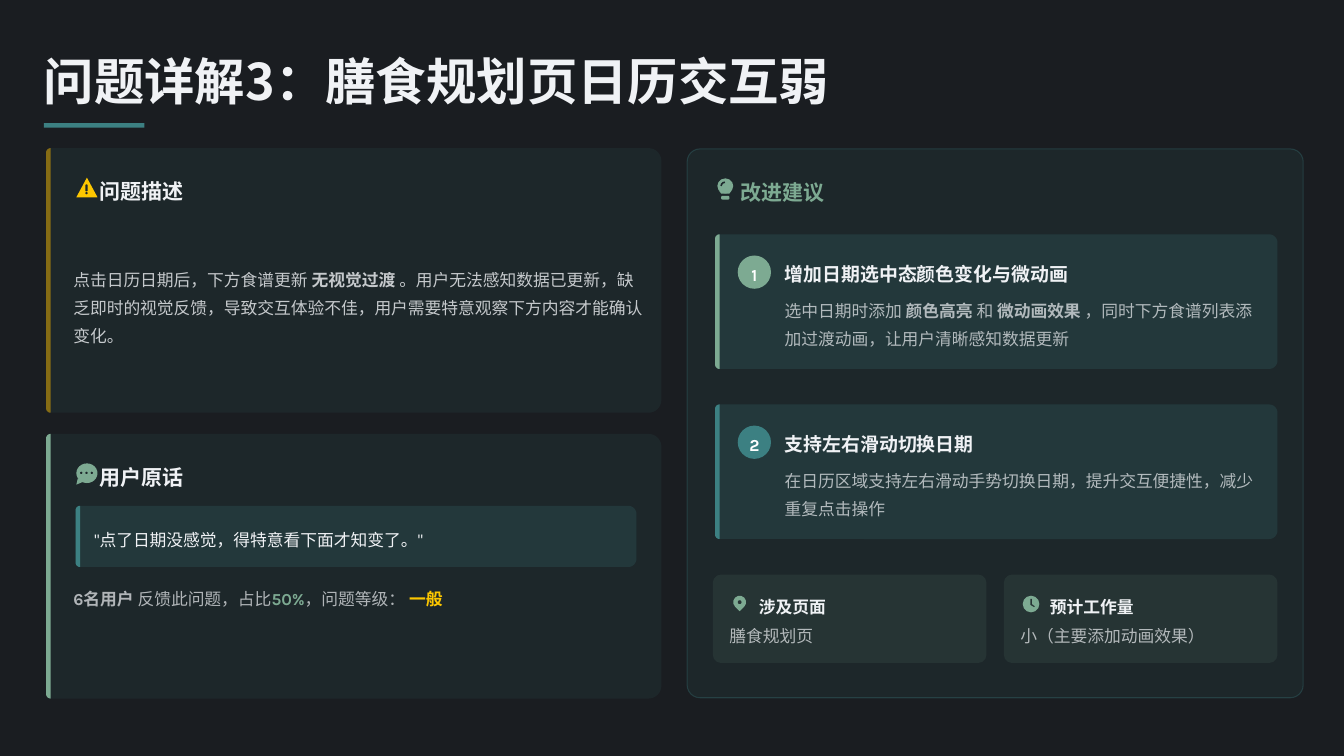
from dataclasses import dataclass
from math import cos, pi, sin

from lxml.etree import SubElement
from pptx import Presentation
from pptx.dml.color import RGBColor
from pptx.enum.shapes import MSO_SHAPE as Preset
from pptx.enum.text import MSO_ANCHOR as Anchor, PP_ALIGN as Align
from pptx.oxml.ns import qn
from pptx.util import Inches, Pt


@dataclass(frozen=True)
class Theme:
    background: str = "1A1D21"
    card_tone: str = "1D272B"
    fact_tone: str = "273435"
    text: str = "F0F2F5"
    white: str = "FFFFFF"
    teal: str = "3C8082"
    green: str = "7DAA92"
    amber: str = "F0B100"
    yellow: str = "FDC700"
    latin: str = "Karla"
    chinese: str = "Noto Sans CJK SC"
    title: int = 48
    heading: int = 20
    subheading: int = 18
    body: int = 16


@dataclass(frozen=True)
class Box:
    x: float
    y: float
    w: float
    h: float

    def inner(self, dx, dy, w, h):
        return Box(self.x + dx, self.y + dy, w, h)

    def emu(self):
        return [Inches(v) for v in (self.x, self.y, self.w, self.h)]


THEME = Theme()


def set_alpha(element, percent):
    """Give the only colour inside the element an opacity."""
    if percent < 100:
        colour = next(element.iter(qn("a:srgbClr")))
        SubElement(colour, qn("a:alpha")).set("val", str(percent * 1000))


def paint(shape, colour, alpha=100):
    shape.shadow.inherit = False
    shape.fill.solid()
    shape.fill.fore_color.rgb = RGBColor.from_string(colour)
    set_alpha(shape.fill._xPr.find(qn("a:solidFill")), alpha)
    shape.line.fill.background()
    return shape


def preset(slide, kind, box, colour, alpha=100):
    return paint(slide.shapes.add_shape(kind, *box.emu()), colour, alpha)


def rounded(slide, box, radius, colour, alpha=100):
    shape = preset(slide, Preset.ROUNDED_RECTANGLE, box, colour, alpha)
    shape.adjustments[0] = radius / min(box.w, box.h)
    return shape


def polygon(slide, points, colour, alpha=100):
    start, *rest = [(Inches(x), Inches(y)) for x, y in points]
    builder = slide.shapes.build_freeform(*start)
    builder.add_line_segments(rest, close=True)
    return paint(builder.convert_to_shape(), colour, alpha)


def side_rounded(slide, box, left, right, colour, alpha=100):
    """Draw a rectangle with one corner radius per side."""
    steps = 8
    points = []
    for quarter, radius in enumerate((right, left, left, right)):
        cx = box.x + (radius if quarter in (1, 2) else box.w - radius)
        cy = box.y + (box.h - radius if quarter < 2 else radius)
        for step in range(steps + 1 if radius else 1):
            angle = (quarter + step / steps) * pi / 2
            points.append((cx + radius * cos(angle), cy + radius * sin(angle)))
    return polygon(slide, points, colour, alpha)


def accent_card(slide, box, radius, accent, fill_alpha, accent_alpha=100):
    edge = 0.06
    side_rounded(slide, box, edge, radius, THEME.teal, fill_alpha)
    side_rounded(slide, box.inner(0, 0, edge, box.h), edge, 0, accent, accent_alpha)


def fill_text(shape, runs, size, spacing, align=Align.LEFT, latin=THEME.latin):
    """Write runs of (text, bold, colour, opacity) as one paragraph."""
    frame = shape.text_frame
    frame.word_wrap = True
    frame.vertical_anchor = Anchor.MIDDLE
    frame.margin_left = frame.margin_right = frame.margin_top = frame.margin_bottom = 0
    paragraph = frame.paragraphs[0]
    paragraph.alignment = align
    paragraph.line_spacing = spacing
    for words, bold, colour, alpha in runs:
        run = paragraph.add_run()
        run.text = words
        run.font.size = Pt(size)
        run.font.bold = bold
        run.font.name = latin
        run.font.color.rgb = RGBColor.from_string(colour)
        set_alpha(run._r, alpha)
        SubElement(run._r.get_or_add_rPr(), qn("a:ea")).set("typeface", THEME.chinese)


def write(slide, box, runs, size, spacing=1.3, **options):
    fill_text(slide.shapes.add_textbox(*box.emu()), runs, size, spacing, **options)


def strong(words, colour=THEME.text, alpha=100):
    return words, True, colour, alpha


def plain(words, alpha=70):
    return words, False, THEME.text, alpha


def warning_icon(slide, box):
    preset(slide, Preset.ISOSCELES_TRIANGLE, box.inner(0, 0, 0.28, 0.26), THEME.yellow)
    rounded(slide, box.inner(0.12, 0.09, 0.03, 0.09), 0.01, THEME.card_tone)
    preset(slide, Preset.OVAL, box.inner(0.12, 0.19, 0.03, 0.03), THEME.card_tone)


def speech_icon(slide, box):
    preset(slide, Preset.OVAL, box.inner(0, 0, 0.28, 0.26), THEME.green)
    tail = [(0.02, 0.2), (0, 0.28), (0.1, 0.24)]
    polygon(slide, [(box.x + x, box.y + y) for x, y in tail], THEME.green)
    for dot in range(3):
        preset(slide, Preset.OVAL, box.inner(0.05 + 0.07 * dot, 0.11, 0.03, 0.03), THEME.card_tone)


def bulb_icon(slide, box):
    preset(slide, Preset.OVAL, box.inner(0, 0, 0.21, 0.2), THEME.green)
    neck = [(0.02, 0.16), (0.19, 0.16), (0.16, 0.2), (0.05, 0.2)]
    polygon(slide, [(box.x + x, box.y + y) for x, y in neck], THEME.green)
    rounded(slide, box.inner(0.05, 0.23, 0.11, 0.05), 0.02, THEME.green)
    glint = preset(slide, Preset.ARC, box.inner(0.05, 0.05, 0.1, 0.1), THEME.green)
    glint.rotation = 270
    glint.fill.background()
    glint.line.color.rgb = RGBColor.from_string(THEME.card_tone)
    glint.line.width = Pt(1.5)


def pin_icon(slide, box):
    pin = preset(slide, Preset.TEAR, box.inner(0.02, 0, 0.17, 0.17), THEME.green)
    pin.rotation = 135
    preset(slide, Preset.OVAL, box.inner(0.08, 0.06, 0.05, 0.05), THEME.fact_tone)


def clock_icon(slide, box):
    preset(slide, Preset.OVAL, box.inner(0, 0, 0.22, 0.22), THEME.green)
    hands = [(0.1, 0.04), (0.12, 0.04), (0.12, 0.11), (0.16, 0.14), (0.15, 0.15), (0.1, 0.12)]
    polygon(slide, [(box.x + x, box.y + y) for x, y in hands], THEME.fact_tone)


def heading(slide, box, icon, words, colour=THEME.text):
    icon(slide, box.inner(0.4, 0.39, 0.28, 0.28))
    write(slide, box.inner(0.71, 0.34, box.w - 0.9, 0.39), [strong(words, colour)], THEME.heading, 1.2)


def title_region(slide, box):
    write(slide, box.inner(0, 0, box.w, 0.67), [strong("问题详解3：膳食规划页日历交互弱")],
          THEME.title, 0.8, latin=THEME.chinese)
    preset(slide, Preset.RECTANGLE, box.inner(0, 0.83, 1.33, 0.06), THEME.teal)


def problem_card(slide, box):
    accent_card(slide, box, 0.17, THEME.amber, 10, accent_alpha=50)
    heading(slide, box, warning_icon, "问题描述")
    write(slide, box.inner(0.36, 0.95, 7.56, 2.22), [
        plain("点击日历日期后，下方食谱更新", 80),
        strong(" 无视觉过渡 ", alpha=80),
        plain("。用户无法感知数据已更新，缺乏即时的视觉反馈，导致交互体验不佳，"
              "用户需要特意观察下方内容才能确认变化。", 80),
    ], THEME.body, 1.4)


def quote_card(slide, box):
    accent_card(slide, box, 0.17, THEME.green, 10)
    heading(slide, box, speech_icon, "用户原话")
    quote = box.inner(0.39, 0.95, 7.42, 0.81)
    accent_card(slide, quote, 0.11, THEME.teal, 20)
    write(slide, quote.inner(0.25, 0.22, 7.06, 0.36),
          [plain('"点了日期没感觉，得特意看下面才知变了。"', 100)], THEME.body, 1.4)
    write(slide, box.inner(0.36, 1.97, 7.56, 0.33), [
        strong("6名用户 ", alpha=70), plain("反馈此问题，占比"), strong("50%", THEME.green),
        plain("，问题等级："), strong(" 一般", THEME.yellow),
    ], THEME.body)


def suggestion(slide, box, number, accent, name, details):
    accent_card(slide, box, 0.11, accent, 20)
    badge = preset(slide, Preset.OVAL, box.inner(0.3, 0.28, 0.44, 0.44), accent)
    fill_text(badge, [strong(str(number), THEME.white)], THEME.body, 1.3, Align.CENTER)
    write(slide, box.inner(0.92, 0.28, 6.38, 0.39), [strong(name)], THEME.subheading)
    write(slide, box.inner(0.92, 0.78, 6.36, 0.72), details, THEME.body, 1.4)


def fact(slide, box, icon, label, value):
    rounded(slide, box, 0.11, THEME.green, 10)
    icon(slide, box.inner(0.25, 0.28, 0.22, 0.22))
    write(slide, box.inner(0.61, 0.22, 1.3, 0.33), [strong(label)], THEME.body)
    write(slide, box.inner(0.22, 0.61, 3.29, 0.33), [plain(value)], THEME.body)


def improvement_panel(slide, box):
    panel = rounded(slide, box, 0.17, THEME.teal, 10)
    panel.line.color.rgb = RGBColor.from_string(THEME.teal)
    panel.line.width = Pt(1)
    set_alpha(panel.line._get_or_add_ln(), 30)
    heading(slide, box, bulb_icon, "改进建议", THEME.green)
    suggestions = [
        (THEME.green, "增加日期选中态颜色变化与微动画", [
            plain("选中日期时添加"), strong(" 颜色高亮 ", alpha=70), plain("和"),
            strong(" 微动画效果 ", alpha=70),
            plain("，同时下方食谱列表添加过渡动画，让用户清晰感知数据更新")]),
        (THEME.teal, "支持左右滑动切换日期", [
            plain("在日历区域支持左右滑动手势切换日期，提升交互便捷性，减少重复点击操作")]),
    ]
    for i, content in enumerate(suggestions):
        suggestion(slide, box.inner(0.37, 1.13 + 2.25 * i, 7.44, 1.78), i + 1, *content)
    facts = [(pin_icon, "涉及页面", "膳食规划页"), (clock_icon, "预计工作量", "小（主要添加动画效果）")]
    for i, content in enumerate(facts):
        fact(slide, box.inner(0.34 + 3.85 * i, 5.63, 3.62, 1.17), *content)


def main():
    deck = Presentation()
    deck.slide_width, deck.slide_height = Inches(17.78), Inches(10)
    slide = deck.slides.add_slide(deck.slide_layouts[6])
    slide.background.fill.solid()
    slide.background.fill.fore_color.rgb = RGBColor.from_string(THEME.background)
    title_region(slide, Box(0.58, 0.8, 17, 0.89))
    problem_card(slide, Box(0.61, 1.96, 8.14, 3.5))
    quote_card(slide, Box(0.61, 5.74, 8.14, 3.5))
    improvement_panel(slide, Box(9.09, 1.97, 8.15, 7.26))
    deck.save("out.pptx")


if __name__ == "__main__":
    main()
